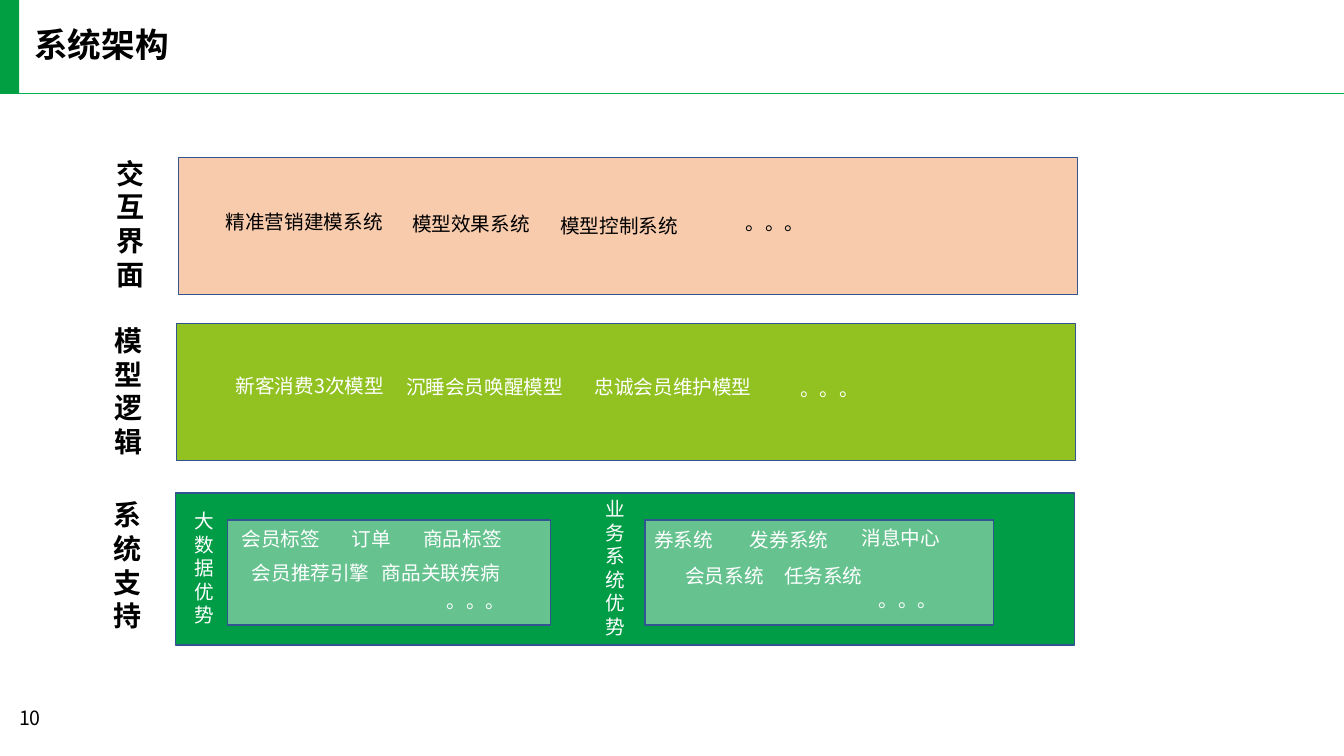
from lxml import etree
from pptx import Presentation
from pptx.dml.color import RGBColor
from pptx.enum.shapes import MSO_CONNECTOR, MSO_SHAPE
from pptx.enum.text import MSO_ANCHOR, PP_ALIGN
from pptx.oxml.ns import qn
from pptx.util import Pt

RECT = MSO_SHAPE.RECTANGLE
LINE = MSO_CONNECTOR.STRAIGHT
LEFT = PP_ALIGN.LEFT
MIDDLE = MSO_ANCHOR.MIDDLE
FONT = "Noto Sans CJK SC"
BLACK, WHITE, EDGE = "000000", "FFFFFF", "325491"
SIZE = 14

# label, label left, label top, band left, band top, band height, fill
BANDS = [
    ("交互界面", 76.3, 108, 127.4, 112.3, 98, "F8CBAD"),
    ("模型逻辑", 74.9, 227.5, 126, 231.1, 98, "91C221"),
    ("系统支持", 74.2, 352, 125.3, 352, 108.7, "019C46"),
]
# panel left, panel width, label, label left, label top, label height
PANELS = [
    (162.7, 230.4, "大数据优势", 131.8, 360, 92),
    (460.8, 249.1, "业务系统优势", 425.5, 351.4, 108.7),
]
PAGES = [
    ("精准营销建模系统", 154.1, 146.2),
    ("模型效果系统", 287.3, 147.6),
    ("模型控制系统", 393.1, 149),
    ("。。。", 525.6, 146.9),
]
MODELS = [
    ("沉睡会员唤醒模型", 283, 264.2),
    ("忠诚会员维护模型", 417.6, 264.2),
    ("。。。", 564.5, 265.7),
]
SUPPORT = [
    ("会员标签", 165.6, 373),
    ("订单", 244.1, 373),
    ("商品标签", 295.2, 373),
    ("会员推荐引擎", 172.8, 397.4),
    ("商品关联疾病", 265.7, 397.4),
    ("。。。", 311.8, 416.9),
    ("券系统", 460.1, 373.7),
    ("发券系统", 528.5, 373.7),
    ("消息中心", 608.4, 372.2),
    ("会员系统", 482.4, 399.6),
    ("任务系统", 553, 399.6),
    ("。。。", 620.6, 416.2),
]


def rgb(code):
    return RGBColor.from_string(code)


def style(par, size, color, bold=False):
    font = par.font
    font.size = Pt(size)
    font.bold = bold
    font.color.rgb = rgb(color)
    font.name = FONT
    etree.SubElement(font._rPr, qn("a:ea"), typeface=FONT)
    par.alignment = LEFT


def add_title(slide, text):
    title = slide.shapes.title
    title.left, title.top = Pt(24.5), Pt(20.2)
    title.width, title.height = Pt(453), Pt(26)
    frame = title.text_frame
    frame.text = text
    frame.vertical_anchor = MIDDLE
    frame.margin_left = frame.margin_right = Pt(0)
    frame.margin_top = frame.margin_bottom = Pt(0)
    par = frame.paragraphs[0]
    par.line_spacing = 0.9
    style(par, 24, BLACK, True)


def add_text(slide, text, left, top, width, height, color, size=SIZE, bold=False):
    box = slide.shapes.add_textbox(Pt(left), Pt(top), Pt(width), Pt(height))
    frame = box.text_frame
    frame.word_wrap = True
    frame.text = text
    style(frame.paragraphs[0], size, color, bold)


def add_items(slide, items, color):
    """Place short texts in boxes as wide as their characters need."""
    for text, left, top in items:
        add_text(slide, text, left, top, SIZE * len(text) + 16, 24.5, color)


def add_rect(slide, left, top, width, height, fill, edge=None, alpha=None):
    rect = slide.shapes.add_shape(RECT, Pt(left), Pt(top), Pt(width), Pt(height))
    rect.shadow.inherit = False
    rect.fill.solid()
    rect.fill.fore_color.rgb = rgb(fill)
    if alpha:
        tone = rect._element.spPr.find(".//" + qn("a:srgbClr"))
        etree.SubElement(tone, qn("a:alpha"), val=str(alpha * 1000))
    if edge:
        rect.line.color.rgb = rgb(edge)
        rect.line.width = Pt(1)
    else:
        rect.line.fill.background()


def add_rule(slide, top, width, color):
    rule = slide.shapes.add_connector(LINE, Pt(0), Pt(top), Pt(width), Pt(top))
    rule.line.color.rgb = rgb(color)
    rule.line.width = Pt(1)
    etree.SubElement(rule._element.spPr, qn("a:effectLst"))


def main():
    deck = Presentation()
    deck.slide_width, deck.slide_height = Pt(960), Pt(540)
    slide = deck.slides.add_slide(deck.slide_layouts[5])

    add_rule(slide, 67, 960, "00B050")
    add_title(slide, "系统架构")
    add_rect(slide, 0, -0.7, 13.7, 67.7, "029E42")
    add_text(slide, "10", 6.5, 500.4, 65.5, 28.8, BLACK)

    for label, x, y, left, top, height, fill in BANDS:
        add_rect(slide, left, top, 642.2, height, fill, EDGE)
        add_text(slide, label, x, y, 39.6, 104.4, BLACK, 20, True)
    for left, width, label, x, y, height in PANELS:
        add_rect(slide, left, 371.5, width, 74.9, WHITE, EDGE, 40)
        add_text(slide, label, x, y, 36, height, WHITE)

    add_items(slide, PAGES, BLACK)
    add_text(slide, "新客消费3次模型", 161.3, 263.5, 121, 24.5, WHITE)
    add_items(slide, MODELS, WHITE)
    add_items(slide, SUPPORT, WHITE)
    deck.save("out.pptx")


if __name__ == "__main__":
    main()
